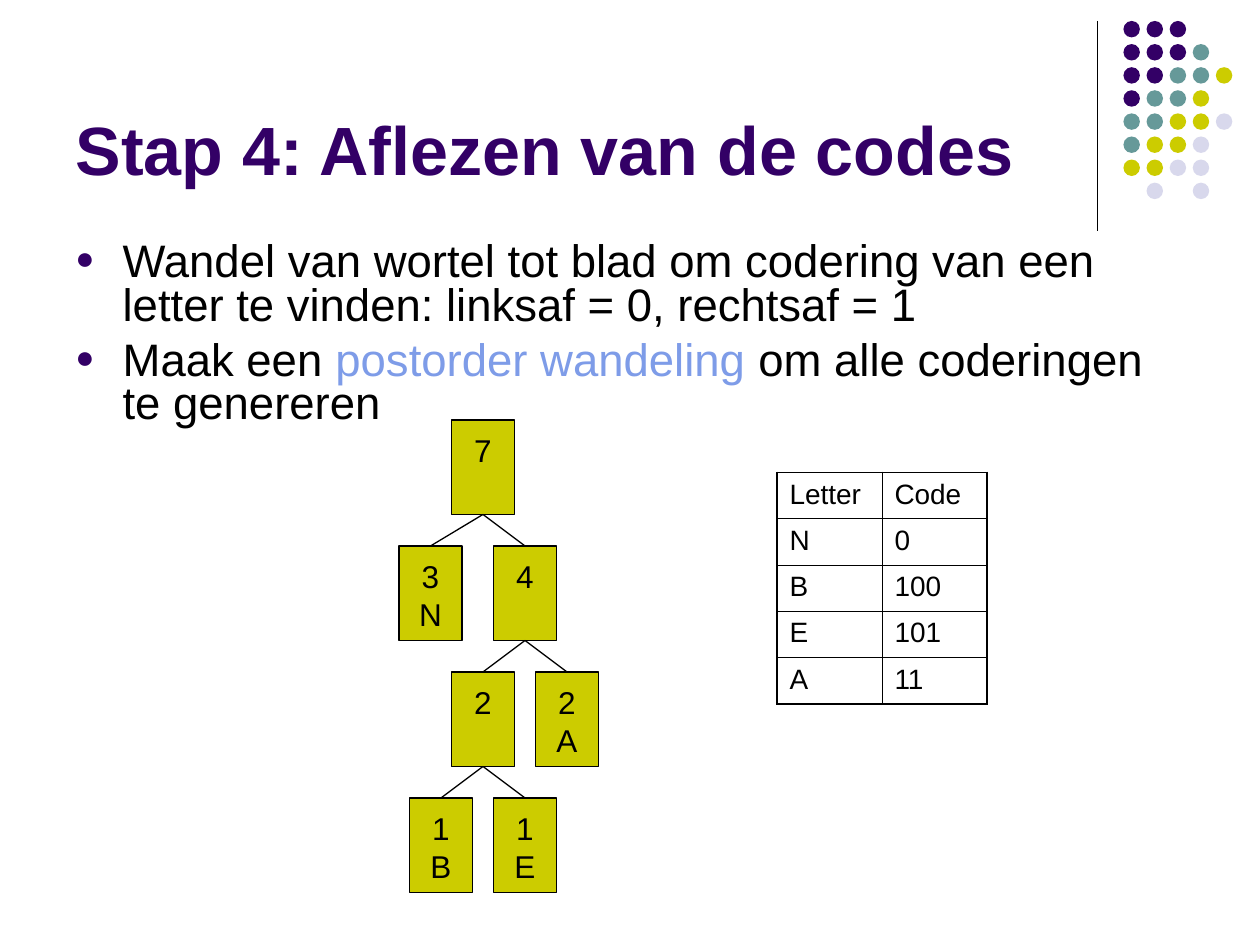
import dataclasses

import pptx
import pptx.dml.color
import pptx.enum.shapes
import pptx.enum.text
import pptx.oxml
import pptx.oxml.ns
import pptx.util

Pt = pptx.util.Pt
ANCHOR = pptx.enum.text.MSO_ANCHOR
ALIGN = pptx.enum.text.PP_ALIGN
SHAPE = pptx.enum.shapes.MSO_SHAPE


@dataclasses.dataclass(frozen=True)
class Theme:
    font: str = "Arial"
    purple: str = "330066"
    teal: str = "669999"
    olive: str = "CCCC00"
    lavender: str = "D8D8EC"
    blue: str = "7E9CE8"
    black: str = "000000"
    title_size: float = 39
    body_size: float = 26
    node_size: float = 18
    table_size: float = 16
    line_width: float = 0.75
    grid_width: float = 0.45
    frame_width: float = 1.08


THEME = Theme()

DOT_COLORS = {"P": THEME.purple, "T": THEME.teal, "O": THEME.olive, "L": THEME.lavender}
DOT_ROWS = ["PPP", "PPPT", "PPTTO", "PTTO", "TTOOL", "TOOL", "OOLL", " L L"]

BULLETS = [
    [("Wandel van wortel tot blad om codering van een letter te vinden: "
      "linksaf = 0, rechtsaf = 1", THEME.black)],
    [("Maak een ", THEME.black), ("postorder wandeling", THEME.blue),
     (" om alle coderingen te genereren", THEME.black)],
]

# Tree nodes: name -> (left, level, lines)
NODES = {
    "root": (258, 0, ["7"]),
    "N": (228, 1, ["3", "N"]),
    "ABE": (282, 1, ["4"]),
    "BE": (258, 2, ["2"]),
    "A": (306, 2, ["2", "A"]),
    "B": (234, 3, ["1", "B"]),
    "E": (282, 3, ["1", "E"]),
}
BRANCHES = {"root": ["N", "ABE"], "ABE": ["BE", "A"], "BE": ["B", "E"]}

CODES = [("Letter", "Code"), ("N", "0"), ("B", "100"), ("E", "101"), ("A", "11")]


def rgb(color):
    return pptx.dml.color.RGBColor.from_string(color)


def set_attributes(target, values):
    for name, value in values.items():
        setattr(target, name, value)


def add_run(paragraph, text, size, color, bold=False):
    run = paragraph.add_run()
    run.text = text
    set_attributes(run.font, {"name": THEME.font, "size": Pt(size), "bold": bold})
    run.font.color.rgb = rgb(color)


def add_line(slide, start=(0, 0), end=(0, 0)):
    line = slide.shapes.add_connector(
        pptx.enum.shapes.MSO_CONNECTOR.STRAIGHT, *map(Pt, start + end))
    line.line.color.rgb = rgb(THEME.black)
    line.line.width = Pt(THEME.line_width)
    line._element.spPr.append(pptx.oxml.parse_xml(
        f"<a:effectLst {pptx.oxml.ns.nsdecls('a')}/>"))
    return line


def add_filled_shape(shapes, kind, box, color):
    shape = shapes.add_shape(kind, *map(Pt, box))
    shape.shadow.inherit = False
    shape.fill.solid()
    shape.fill.fore_color.rgb = rgb(color)
    return shape


def add_dots(slide):
    pitch, size = 13.2, 9.4
    dots = slide.shapes.add_group_shape()
    for row, keys in enumerate(DOT_ROWS):
        for column, key in enumerate(keys):
            if key in DOT_COLORS:
                box = (642 + column * pitch, 12 + row * pitch, size, size)
                dot = add_filled_shape(dots.shapes, SHAPE.OVAL, box, DOT_COLORS[key])
                dot.line.fill.background()


def format_title(slide, text):
    title = slide.shapes.title
    set_attributes(title, {"left": Pt(36), "top": Pt(9.5),
                           "width": Pt(594), "height": Pt(102)})
    set_attributes(title.text_frame, {"vertical_anchor": ANCHOR.BOTTOM, "word_wrap": True,
                                      "auto_size": pptx.enum.text.MSO_AUTO_SIZE.NONE})
    paragraph = title.text_frame.paragraphs[0]
    paragraph.alignment = ALIGN.LEFT
    add_run(paragraph, text, THEME.title_size, THEME.purple, bold=True)


def add_bullet(paragraph):
    properties = paragraph._p.get_or_add_pPr()
    indent = Pt(27)
    properties.set("marL", str(indent))
    properties.set("indent", str(-indent))
    namespace = pptx.oxml.ns.nsdecls("a")
    for xml in (f'<a:buClr {namespace}><a:srgbClr val="{THEME.purple}"/></a:buClr>',
                f'<a:buSzPct {namespace} val="70000"/>',
                f'<a:buFont {namespace} typeface="{THEME.font}"/>',
                f'<a:buChar {namespace} char="●"/>'):
        properties.append(pptx.oxml.parse_xml(xml))


def add_body(slide):
    frame = slide.shapes.add_textbox(Pt(36), Pt(135), Pt(648), Pt(110)).text_frame
    frame.word_wrap = True
    for index, parts in enumerate(BULLETS):
        paragraph = frame.add_paragraph() if index else frame.paragraphs[0]
        set_attributes(paragraph, {"line_spacing": 0.8, "space_before": Pt(6.5)})
        add_bullet(paragraph)
        for text, color in parts:
            add_run(paragraph, text, THEME.body_size, color)


def add_node(slide, left, level, lines):
    box = (left, 240 + 72 * level, 36, 54)
    node = add_filled_shape(slide.shapes, SHAPE.RECTANGLE, box, THEME.olive)
    node.line.color.rgb = rgb(THEME.black)
    node.line.width = Pt(THEME.line_width)
    frame = node.text_frame
    set_attributes(frame, {"word_wrap": False, "vertical_anchor": ANCHOR.TOP,
                           "margin_top": Pt(6.3), "margin_bottom": Pt(3.6)})
    for index, text in enumerate(lines):
        paragraph = frame.add_paragraph() if index else frame.paragraphs[0]
        paragraph.alignment = ALIGN.CENTER
        add_run(paragraph, text, THEME.node_size, THEME.black)
    return node


def add_tree(slide):
    nodes = {name: add_node(slide, *values) for name, values in NODES.items()}
    for parent, children in BRANCHES.items():
        for child in children:
            branch = add_line(slide)
            branch.begin_connect(nodes[parent], 2)
            branch.end_connect(nodes[child], 0)


def set_borders(cell, outer_sides):
    properties = cell._tc.get_or_add_tcPr()
    for side in "LRTB":
        width = Pt(THEME.frame_width if side in outer_sides else THEME.grid_width)
        properties.append(pptx.oxml.parse_xml(
            f'<a:ln{side} {pptx.oxml.ns.nsdecls("a")} w="{width}"><a:solidFill>'
            f'<a:srgbClr val="{THEME.black}"/></a:solidFill></a:ln{side}>'))


def add_code_table(slide):
    rows, columns = len(CODES), len(CODES[0])
    table = slide.shapes.add_table(
        rows, columns, Pt(444), Pt(270), Pt(60 * columns), Pt(26.5 * rows)).table
    set_attributes(table, {"first_row": False, "horz_banding": False})
    for row, values in enumerate(CODES):
        for column, text in enumerate(values):
            cell = table.cell(row, column)
            edges = {"L": column == 0, "R": column == columns - 1,
                     "T": row == 0, "B": row == rows - 1}
            set_borders(cell, [side for side, is_outer in edges.items() if is_outer])
            cell.fill.background()
            paragraph = cell.text_frame.paragraphs[0]
            paragraph.space_before = Pt(4)
            add_run(paragraph, text, THEME.table_size, THEME.black)


def main():
    presentation = pptx.Presentation()
    set_attributes(presentation, {"slide_width": Pt(720), "slide_height": Pt(540)})
    slide = presentation.slides.add_slide(presentation.slide_layouts[5])

    # Corner decoration
    add_line(slide, (627, 12), (627, 132))
    add_dots(slide)

    # Title and explanation
    format_title(slide, "Stap 4: Aflezen van de codes")
    add_body(slide)

    # Code tree and the codes read from it
    add_tree(slide)
    add_code_table(slide)

    presentation.save("out.pptx")


if __name__ == "__main__":
    main()
